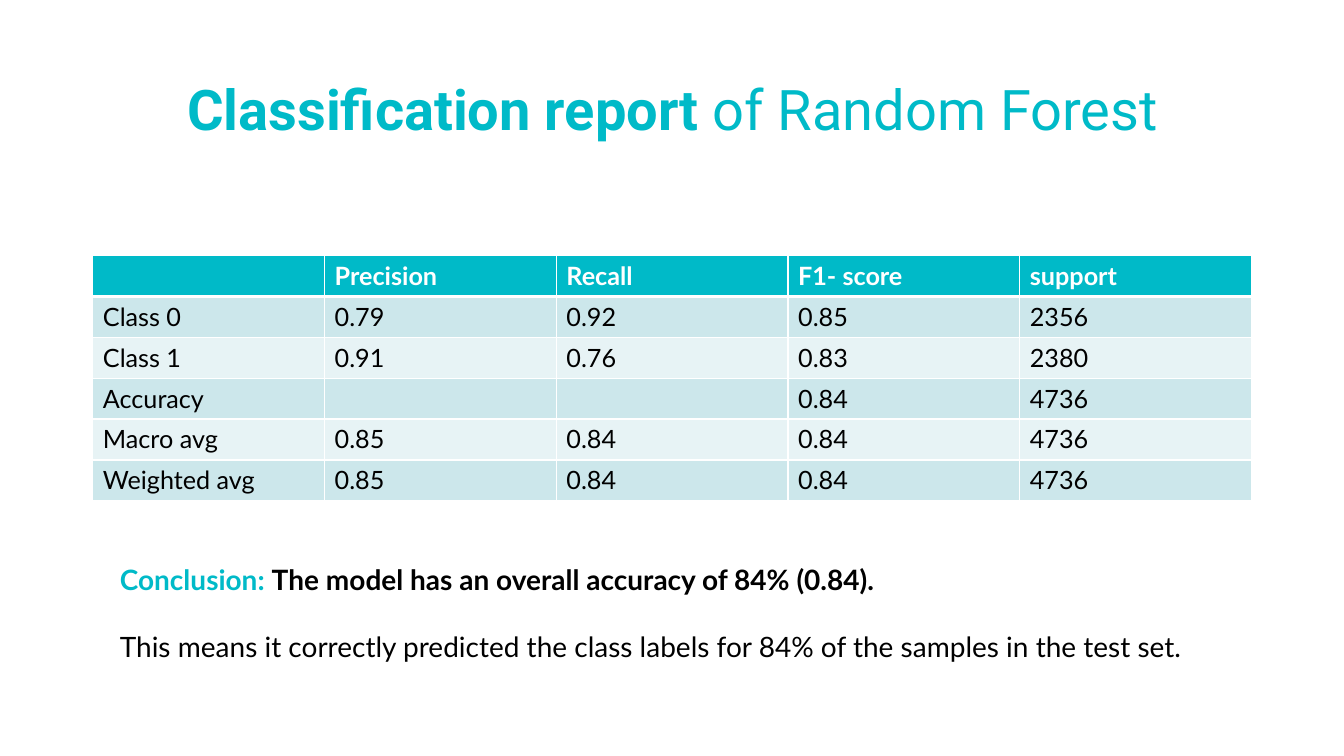
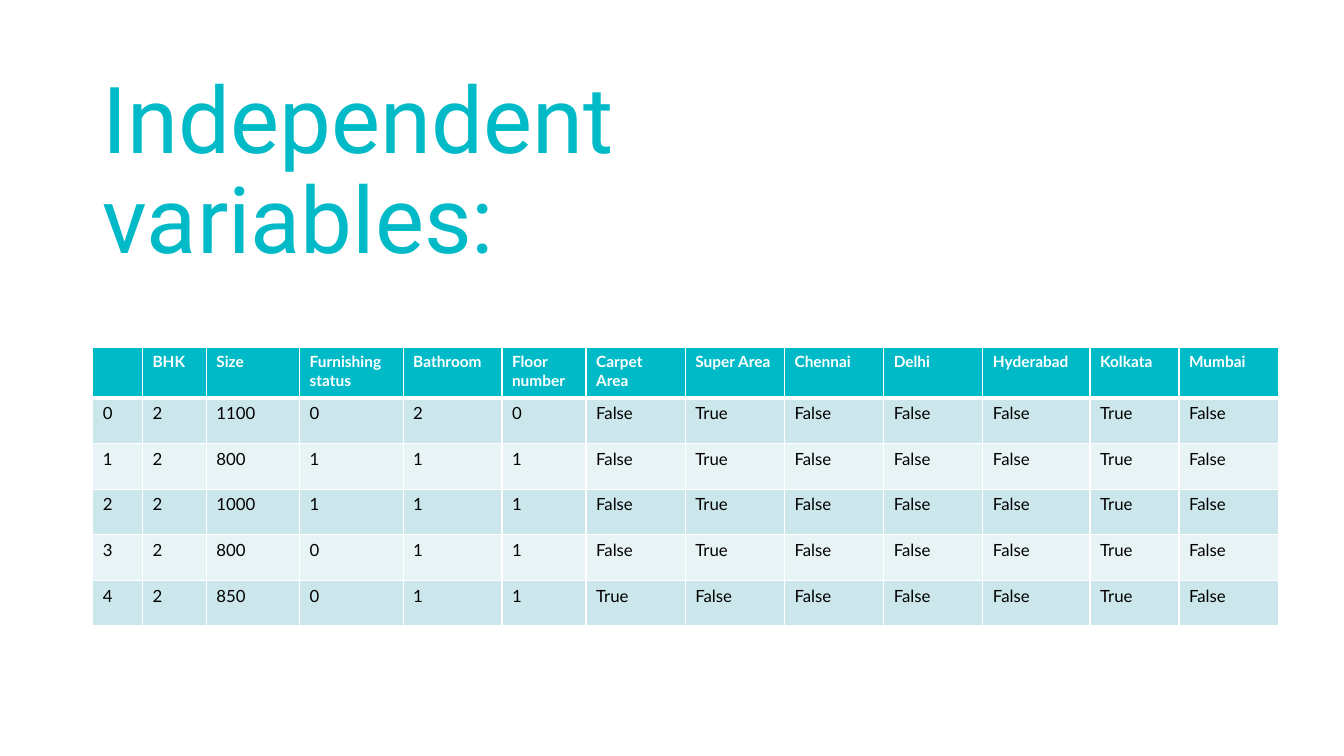
from lxml import etree
from pptx import Presentation
from pptx import util as u
from pptx.dml.color import RGBColor
from pptx.enum import text
from pptx.oxml.ns import qn

ALIGN = text.PP_ALIGN


def rgb(hex_code):
    return RGBColor.from_string(hex_code)


class Deck:
    """Holds the shared style and the current slide."""
    TEAL, NAVY, WHITE, BLACK = "00BAC8", "203040", "FFFFFF", "000000"
    BANDS = ("CCE7EB", "E7F3F5")
    TITLE_FONT, BODY_FONT = "Roboto", "Lato"
    LEFT = 2.34

    def __init__(self):
        self.prs = Presentation()
        self.prs.slide_width, self.prs.slide_height = u.Cm(33.87), u.Cm(19.05)
        self.s = None

    def new_slide(self):
        self.s = self.prs.slides.add_slide(self.prs.slide_layouts[5])

    def title(self, runs, top, width, height, size, align=ALIGN.LEFT):
        """Title from (text, bold) runs, in the teal-to-navy gradient."""
        sp = self.s.shapes.title
        sp.left, sp.top = u.Cm(self.LEFT), u.Cm(top)
        sp.width, sp.height = u.Cm(width), u.Cm(height)
        tf = sp.text_frame
        tf.word_wrap = True
        tf.auto_size = text.MSO_AUTO_SIZE.NONE
        tf.vertical_anchor = text.MSO_ANCHOR.MIDDLE
        p = tf.paragraphs[0]
        p.alignment, p.line_spacing = align, 0.9
        p.font.name, p.font.size = self.TITLE_FONT, u.Pt(size)
        for words, bold in runs:
            r = p.add_run()
            r.text, r.font.bold = words, bold
            fill = r.font.fill
            fill.gradient()
            fill.gradient_angle = 0
            for stop, color in zip(fill.gradient_stops, (self.TEAL, self.NAVY)):
                stop.color.rgb = rgb(color)

    def border(self, cell, side, width):
        tc_pr = cell._tc.get_or_add_tcPr()
        ln = etree.SubElement(tc_pr, qn("a:ln" + side), w=str(u.Pt(width)))
        fill = etree.SubElement(ln, qn("a:solidFill"))
        etree.SubElement(fill, qn("a:srgbClr"), val=self.WHITE)

    def table(self, rows, top, widths, heights, head_size, body_size):
        """Banded table whose first row is the header."""
        tbl = self.s.shapes.add_table(
            len(rows), len(widths), u.Cm(self.LEFT), u.Cm(top),
            u.Cm(sum(widths)), u.Cm(sum(heights))).table
        for col, width in zip(tbl.columns, widths):
            col.width = u.Cm(width)
        for i, (row, height) in enumerate(zip(rows, heights)):
            tbl.rows[i].height = u.Cm(height)
            head = i == 0
            for j, value in enumerate(row):
                cell = tbl.cell(i, j)
                # Thick rule between header and body
                for side in "LRTB":
                    thick = (i, side) in ((0, "B"), (1, "T"))
                    self.border(cell, side, 3 if thick else 1)
                cell.fill.solid()
                cell.fill.fore_color.rgb = rgb(
                    self.TEAL if head else self.BANDS[(i - 1) % 2])
                cell.text = value
                f = cell.text_frame.paragraphs[0].font
                f.name, f.bold = self.BODY_FONT, head
                f.size = u.Pt(head_size if head else body_size)
                f.color.rgb = rgb(self.WHITE if head else self.BLACK)

    def text_box(self, paragraphs, left, top, width, height, size, gap):
        """Paragraphs of (text, colour) runs; each paragraph is (runs, bold)."""
        tf = self.s.shapes.add_textbox(
            u.Cm(left), u.Cm(top), u.Cm(width), u.Cm(height)).text_frame
        tf.word_wrap = True
        for i, (runs, bold) in enumerate(paragraphs):
            p = tf.add_paragraph() if i else tf.paragraphs[0]
            if i:
                p.space_before = u.Pt(gap)
            p.font.name, p.font.size, p.font.bold = self.BODY_FONT, u.Pt(size), bold
            for words, color in runs:
                r = p.add_run()
                r.text = words
                r.font.color.rgb = rgb(color)


def report_slide(d):
    d.new_slide()
    d.title([("Classification report", True), (" of Random Forest", False)],
            top=1, width=29.21, height=3.68, size=40, align=ALIGN.CENTER)
    rows = [
        ("", "Precision", "Recall", "F1- score", "support"),
        ("Class 0", "0.79", "0.92", "0.85", "2356"),
        ("Class 1", "0.91", "0.76", "0.83", "2380"),
        ("Accuracy", "", "", "0.84", "4736"),
        ("Macro avg", "0.85", "0.84", "0.84", "4736"),
        ("Weighted avg", "0.85", "0.84", "0.84", "4736"),
    ]
    d.table(rows, top=6.44, widths=[5.84] * 5, heights=[1.03] * 6,
            head_size=18, body_size=18)
    # Conclusion
    d.text_box([
        ([("Conclusion: ", d.TEAL),
          ("The model has an overall accuracy of 84% (0.84).", d.BLACK)], True),
        ([("This means it correctly predicted the class labels for 84% "
           "of the samples in the test set.", d.BLACK)], False),
    ], left=2.77, top=14.05, width=28.78, height=2.82, size=20, gap=24)


def variables_slide(d):
    d.new_slide()
    d.title([("Independent variables:", False)],
            top=1.65, width=17.55, height=5.46, size=66)
    header = ("", "BHK", "Size", "Furnishing status", "Bathroom", "Floor number",
              "Carpet Area", "Super Area", "Chennai", "Delhi", "Hyderabad",
              "Kolkata", "Mumbai")
    # BHK, size, furnishing, bathroom, floor, carpet area
    homes = [
        (2, 1100, 0, 2, 0, False),
        (2, 800, 1, 1, 1, False),
        (2, 1000, 1, 1, 1, False),
        (2, 800, 0, 1, 1, False),
        (2, 850, 0, 1, 1, True),
    ]
    # Super area is the opposite of carpet area; every home is in Kolkata
    cities = (False, False, False, True, False)
    rows = [header] + [
        tuple(map(str, (i, *home, not home[-1], *cities)))
        for i, home in enumerate(homes)]
    widths = [1.25, 1.61, 2.35, 2.61, 2.49, 2.12] + [2.5] * 4 + [2.7, 2.24, 2.5]
    d.table(rows, top=8.76, widths=widths, heights=[1.27] + [1.15] * 5,
            head_size=11, body_size=12)


def main():
    d = Deck()
    report_slide(d)
    variables_slide(d)
    d.prs.save("out.pptx")


if __name__ == "__main__":
    main()
